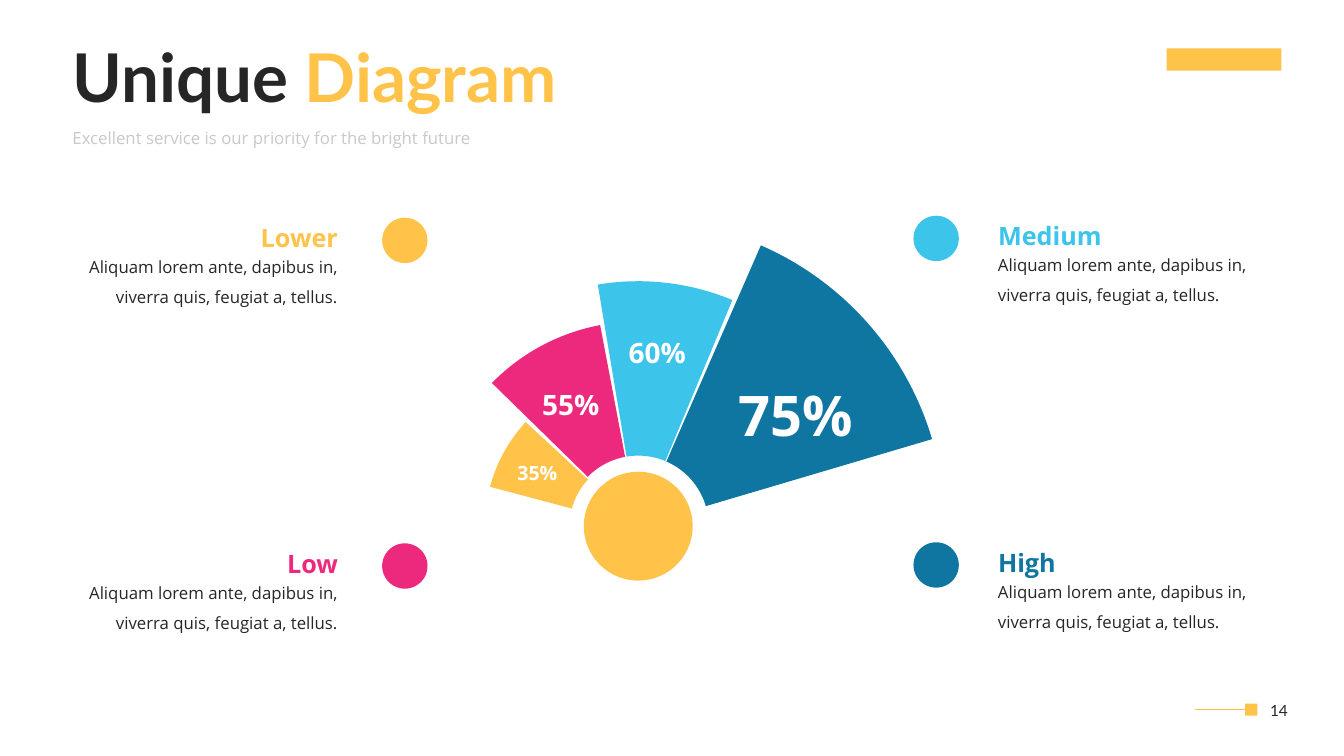
from math import cos, radians, sin

from lxml import etree
from pptx import Presentation
from pptx.dml.color import RGBColor
from pptx.enum.shapes import MSO_CONNECTOR, MSO_SHAPE
from pptx.enum.text import MSO_ANCHOR, MSO_AUTO_SIZE, PP_ALIGN
from pptx.oxml.ns import qn
from pptx.util import Inches, Pt

OVAL, RECT = MSO_SHAPE.OVAL, MSO_SHAPE.RECTANGLE
STRAIGHT = MSO_CONNECTOR.STRAIGHT
LEFT, MID, RIGHT = PP_ALIGN.LEFT, PP_ALIGN.CENTER, PP_ALIGN.RIGHT
TOP, MIDDLE = MSO_ANCHOR.TOP, MSO_ANCHOR.MIDDLE
GROW, FIXED = MSO_AUTO_SIZE.SHAPE_TO_FIT_TEXT, MSO_AUTO_SIZE.NONE


class Theme:
    ink, pale, white = "262626", "C9C9C9", "FFFFFF"
    gold, pink, sky, blue = "FFC34A", "EC297C", "3DC4EA", "0F76A1"
    head, body = "Lato", "Open Sans"
    title, name, text, page = 48, 18, 12, 11


TITLE = [("Unique ", Theme.ink), ("Diagram", Theme.gold)]
MOTTO = "Excellent service is our priority for the bright future"
BLURB = "Aliquam lorem ante, dapibus in, viverra quis, feugiat a, tellus."
PAGE = "14"

# start angle, end angle, outer radius, inner radius, colour
WEDGES = [
    (165.1, 137.2, 1.52, 0.68, Theme.gold),
    (135.6, 100.7, 2.03, 0.70, Theme.pink),
    (99.5, 67.4, 2.43, 0.70, Theme.sky),
    (66.4, 16.5, 3.04, 0.70, Theme.blue),
]
# text, type size, box
SHARES = [
    ("75%", 40, (7.05, 3.39, 1.69, 1.0)),
    ("60%", 20, (6.11, 3.11, 0.82, 0.55)),
    ("55%", 20, (5.25, 3.63, 0.82, 0.55)),
    ("35%", 14, (4.92, 4.41, 0.82, 0.42)),
]
# name, colour, side, top of dot
CARDS = [
    ("Medium", Theme.sky, RIGHT, 2.14),
    ("High", Theme.blue, RIGHT, 5.38),
    ("Lower", Theme.gold, LEFT, 2.16),
    ("Low", Theme.pink, LEFT, 5.39),
]
# side: dot left, name left, body left, text alignment
SIDES = {
    RIGHT: (9.06, 9.8, 9.8, LEFT),
    LEFT: (3.79, 1.76, 0.69, RIGHT),
}
HUB_X, HUB_Y, HUB_R = 6.33, 5.22, 0.54
DOT = 0.45


def paint(shape, color):
    shape.shadow.inherit = False
    shape.fill.solid()
    shape.fill.fore_color.rgb = RGBColor.from_string(color)
    shape.line.fill.background()


def add_block(slide, kind, box, color):
    paint(slide.shapes.add_shape(kind, *map(Inches, box)), color)


def add_text(slide, box, runs, size, font=Theme.body, bold=False,
             align=LEFT, gap=1.5, anchor=TOP, fit=GROW):
    """Add one paragraph made of (text, colour) runs."""
    frame = slide.shapes.add_textbox(*map(Inches, box)).text_frame
    frame.word_wrap = True
    frame.auto_size = fit
    frame.vertical_anchor = anchor
    para = frame.paragraphs[0]
    para.alignment = align
    para.line_spacing = gap
    for text, color in runs:
        run = para.add_run()
        run.text = text
        run.font.name = font
        run.font.size = Pt(size)
        run.font.bold = bold
        run.font.color.rgb = RGBColor.from_string(color)


def add_wedge(slide, start, end, outer, inner, color):
    """Draw a ring sector around the hub; angles in degrees."""
    steps = 40
    turns = [radians(start + (end - start) * i / steps)
             for i in range(steps + 1)]
    arcs = [(outer, t) for t in turns] + [(inner, t) for t in turns[::-1]]
    points = [(Inches(HUB_X + r * cos(t)), Inches(HUB_Y - r * sin(t)))
              for r, t in arcs]
    pen = slide.shapes.build_freeform(*points[0])
    pen.add_line_segments(points[1:], close=True)
    paint(pen.convert_to_shape(), color)


def add_card(slide, name, color, side, top):
    dot, head, body, align = SIDES[side]
    add_block(slide, OVAL, (dot, top, DOT, DOT), color)
    add_text(slide, (head, top - 0.15, 1.69, 0.51), [(name, color)],
             Theme.name, bold=True, align=align)
    add_text(slide, (body, top + 0.24, 2.76, 0.7), [(BLURB, Theme.ink)],
             Theme.text, align=align)


def add_footer(slide):
    add_text(slide, (12.38, 6.84, 0.61, 0.41), [(PAGE, Theme.ink)],
             Theme.page, Theme.head, align=MID, gap=1.0, anchor=MIDDLE,
             fit=FIXED)
    ends = map(Inches, (11.85, 7.04, 12.35, 7.04))
    rule = slide.shapes.add_connector(STRAIGHT, *ends)
    rule.line.color.rgb = RGBColor.from_string(Theme.gold)
    rule.line.width = Pt(0.5)
    etree.SubElement(rule._element.spPr, qn("a:effectLst"))
    add_block(slide, RECT, (12.35, 6.98, 0.12, 0.12), Theme.gold)


def main():
    deck = Presentation()
    deck.slide_width, deck.slide_height = Inches(13.33), Inches(7.5)
    slide = deck.slides.add_slide(deck.slide_layouts[6])

    add_text(slide, (0.62, 0.35, 8.01, 0.91), TITLE, Theme.title, Theme.head,
             bold=True, gap=0.9, anchor=MIDDLE, fit=FIXED)
    add_text(slide, (0.62, 1.24, 4.82, 0.24), [(MOTTO, Theme.pale)],
             Theme.text, gap=0.9, fit=FIXED)
    add_block(slide, RECT, (11.57, 0.48, 1.14, 0.22), Theme.gold)

    add_block(slide, OVAL, (HUB_X - HUB_R, HUB_Y - HUB_R, 2 * HUB_R,
                            2 * HUB_R), Theme.gold)
    for wedge in WEDGES:
        add_wedge(slide, *wedge)
    for share, size, box in SHARES:
        add_text(slide, box, [(share, Theme.white)], size, bold=True,
                 align=MID)
    for card in CARDS:
        add_card(slide, *card)
    add_footer(slide)
    deck.save("out.pptx")


if __name__ == "__main__":
    main()
